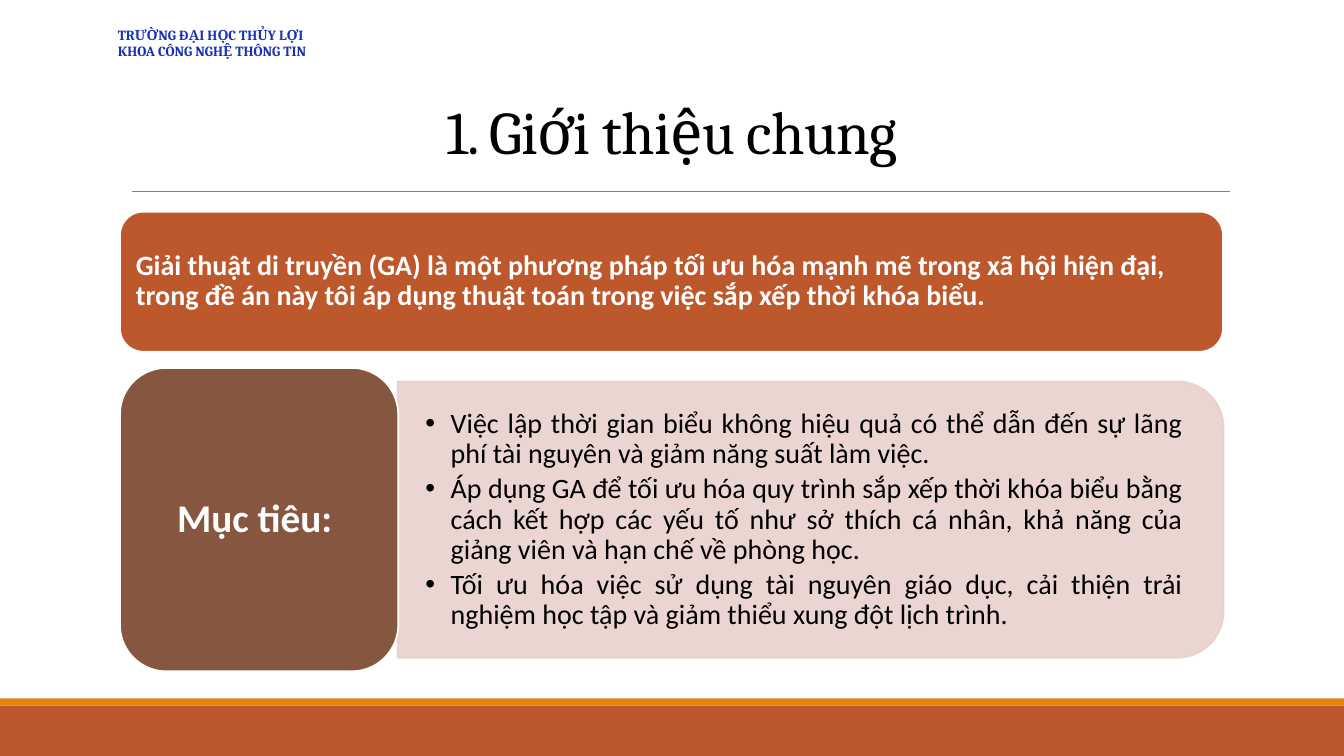
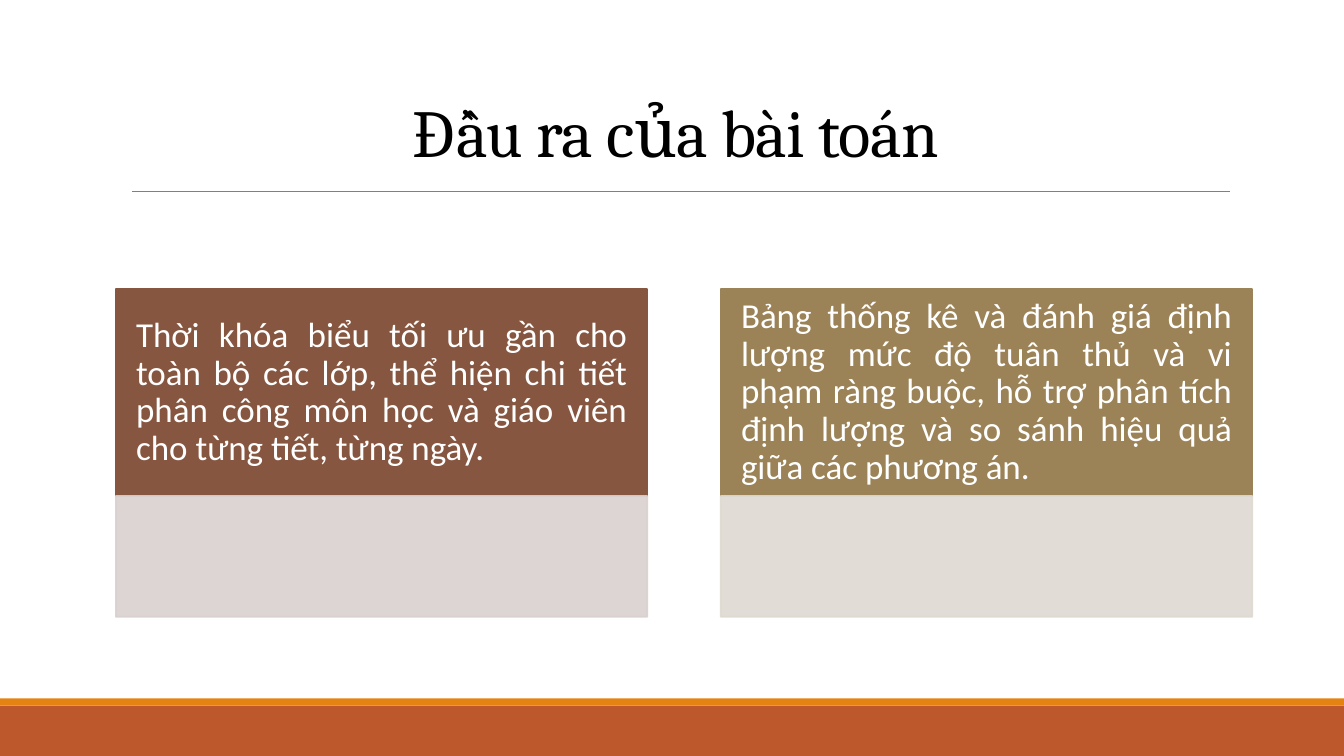
"""Build two slides introducing a genetic-algorithm timetable project."""
from dataclasses import dataclass

from lxml import etree
from pptx import Presentation
from pptx.dml.color import RGBColor
from pptx.enum.shapes import MSO_CONNECTOR, MSO_SHAPE
from pptx.enum.text import MSO_ANCHOR, MSO_AUTO_SIZE, PP_ALIGN
from pptx.oxml.ns import qn
from pptx.util import Inches, Pt

RECTANGLE = MSO_SHAPE.RECTANGLE
ROUNDED = MSO_SHAPE.ROUNDED_RECTANGLE
ROUNDED_TOP = MSO_SHAPE.ROUND_2_SAME_RECTANGLE
STRAIGHT = MSO_CONNECTOR.STRAIGHT
NO_AUTOFIT = MSO_AUTO_SIZE.NONE
LEFT, CENTER, JUSTIFY = PP_ALIGN.LEFT, PP_ALIGN.CENTER, PP_ALIGN.JUSTIFY
TOP, MIDDLE, BOTTOM = MSO_ANCHOR.TOP, MSO_ANCHOR.MIDDLE, MSO_ANCHOR.BOTTOM


@dataclass(frozen=True)
class Theme:
    heading_font: str = "Cambria"
    body_font: str = "Calibri"
    black: str = "000000"
    white: str = "FFFFFF"
    rust: str = "BD582C"
    orange: str = "E48312"
    brown: str = "865640"
    olive: str = "9B8357"
    pink: str = "E8D1CD"
    pale_brown: str = "D9D1CF"
    pale_olive: str = "DED9D1"
    navy: str = "1930B0"
    rule: str = "808080"
    header_size: float = 10
    body_size: float = 20
    card_size: float = 25
    label_size: float = 28
    section_title_size: float = 43.2
    title_size: float = 48


THEME = Theme()


def add_block(slide, kind, box, fill, line=None, opacity=100):
    shape = slide.shapes.add_shape(kind, *map(Inches, box))
    shape.shadow.inherit = False
    shape.fill.solid()
    shape.fill.fore_color.rgb = RGBColor.from_string(fill)
    if line:
        shape.line.color.rgb = RGBColor.from_string(line)
        shape.line.width = Pt(1.25)
    else:
        shape.line.fill.background()
    if opacity < 100:
        for color in shape.element.spPr.iter(qn("a:srgbClr")):
            etree.SubElement(color, qn("a:alpha"), val=str(opacity * 1000))
    return shape


def write(shape, texts, size, color, font=THEME.body_font, bold=False, align=LEFT,
          anchor=MIDDLE, insets=(0.1, 0.05), line_spacing=0.9, bullet=False, tracking=0):
    frame = shape.text_frame
    frame.word_wrap = True
    frame.auto_size = NO_AUTOFIT
    frame.vertical_anchor = anchor
    frame.margin_left = frame.margin_right = Inches(insets[0])
    frame.margin_top = frame.margin_bottom = Inches(insets[1])
    for index, text in enumerate(texts):
        paragraph = frame.add_paragraph() if index else frame.paragraphs[0]
        paragraph.alignment = align
        if line_spacing:
            paragraph.line_spacing = line_spacing
        if bullet:
            paragraph.space_after = Pt(3.6)
            properties = paragraph._p.get_or_add_pPr()
            properties.set("marL", str(Inches(0.25)))
            properties.set("indent", str(Inches(-0.25)))
            etree.SubElement(properties, qn("a:buFont"), typeface="Arial")
            etree.SubElement(properties, qn("a:buChar"), char="•")
        run = paragraph.add_run()
        run.text = text
        run.font.name = font
        run.font.size = Pt(size)
        run.font.bold = bold
        run.font.color.rgb = RGBColor.from_string(color)
        if tracking:
            run._r.get_or_add_rPr().set("spc", str(int(tracking * 100)))


presentation = Presentation()
presentation.slide_width = Inches(13.33)
presentation.slide_height = Inches(7.5)
layout = presentation.slide_layouts[5]
for placeholder in list(layout.placeholders):
    if placeholder.placeholder_format.idx:
        layout.shapes.element.remove(placeholder.element)

titles = [
    ("1. Giới thiệu chung", (0.75, 0.95, 11.83, 0.76), THEME.section_title_size),
    ("Đầu ra của bài toán", (1.15, 0.76, 11.1, 0.99), THEME.title_size),
]
slides = []
for text, box, size in titles:
    slide = presentation.slides.add_slide(layout)
    title = slide.shapes.title
    title.left, title.top, title.width, title.height = map(Inches, box)
    write(title, [text], size, THEME.black, THEME.heading_font, align=CENTER,
          anchor=BOTTOM, line_spacing=0.85, tracking=-0.5)
    slides.append(slide)
introduction, outputs = slides

footer = add_block(introduction, RECTANGLE, (0, 7, 13.33, 0.5), THEME.rust)
stripe = add_block(introduction, RECTANGLE, (0, 6.93, 13.33, 0.07), THEME.orange)
title_rule = introduction.shapes.add_connector(
    STRAIGHT, Inches(1.31), Inches(1.9), Inches(12.2), Inches(1.9))
title_rule.line.color.rgb = RGBColor.from_string(THEME.rule)
title_rule.line.width = Pt(0.5)
etree.SubElement(title_rule.element.spPr, qn("a:effectLst"))
for decoration in (footer, stripe, title_rule):
    layout.shapes.element.append(decoration.element)

header = introduction.shapes.add_textbox(*map(Inches, (1.07, 0.21, 2.55, 0.61)))
write(header, ["TRƯỜNG ĐẠI HỌC THỦY LỢI", "KHOA CÔNG NGHỆ THÔNG TIN"], THEME.header_size,
      THEME.navy, THEME.heading_font, bold=True, anchor=TOP, line_spacing=None)

summary = add_block(introduction, ROUNDED, (1.19, 2.1, 10.94, 1.39), THEME.rust, THEME.white)
write(summary, [
    "Giải thuật di truyền (GA) là một phương pháp tối ưu hóa mạnh mẽ trong xã hội hiện đại, "
    "trong đề án này tôi áp dụng thuật toán trong việc sắp xếp thời khóa biểu.",
], THEME.body_size, THEME.white, bold=True, insets=(0.09, 0.04))

goal_panel = add_block(introduction, ROUNDED_TOP, (6.67, 1.06, 2.74, 8.19),
                       THEME.pink, THEME.pink, opacity=90)
goal_panel.rotation = 90
goals = introduction.shapes.add_textbox(*map(Inches, (3.95, 3.92, 8.05, 2.48)))
write(goals, [
    "Việc lập thời gian biểu không hiệu quả có thể dẫn đến sự lãng phí tài nguyên và "
    "giảm năng suất làm việc. ",
    "Áp dụng GA để tối ưu hóa quy trình sắp xếp thời khóa biểu bằng cách kết hợp các yếu tố "
    "như sở thích cá nhân, khả năng của giảng viên và hạn chế về phòng học.",
    "Tối ưu hóa việc sử dụng tài nguyên giáo dục, cải thiện trải nghiệm học tập và "
    "giảm thiểu xung đột lịch trình. ",
], THEME.body_size, THEME.black, align=JUSTIFY, insets=(0.27, 0.14), bullet=True)

goal_label = add_block(introduction, ROUNDED, (1.19, 3.65, 2.76, 3.01), THEME.brown, THEME.white)
write(goal_label, ["Mục tiêu: "], THEME.label_size, THEME.white, bold=True, align=CENTER,
      insets=(0.12, 0.06))

cards = [
    ("Thời khóa biểu tối ưu gần cho toàn bộ các lớp, thể hiện chi tiết phân công môn học và "
     "giáo viên cho từng tiết, từng ngày.", THEME.brown, THEME.pale_brown),
    ("Bảng thống kê và đánh giá định lượng mức độ tuân thủ và vi phạm ràng buộc, hỗ trợ "
     "phân tích định lượng và so sánh hiệu quả giữa các phương án.",
     THEME.olive, THEME.pale_olive),
]
for index, (text, color, pale_color) in enumerate(cards):
    left = 1.15 + index * 6
    card = add_block(outputs, RECTANGLE, (left, 2.87, 5.27, 2.05), color, color)
    write(card, [text], THEME.card_size, THEME.white, align=JUSTIFY, insets=(0.2, 0.11))
    add_block(outputs, RECTANGLE, (left, 4.92, 5.27, 1.2), pale_color, pale_color, opacity=90)

presentation.save("out.pptx")
